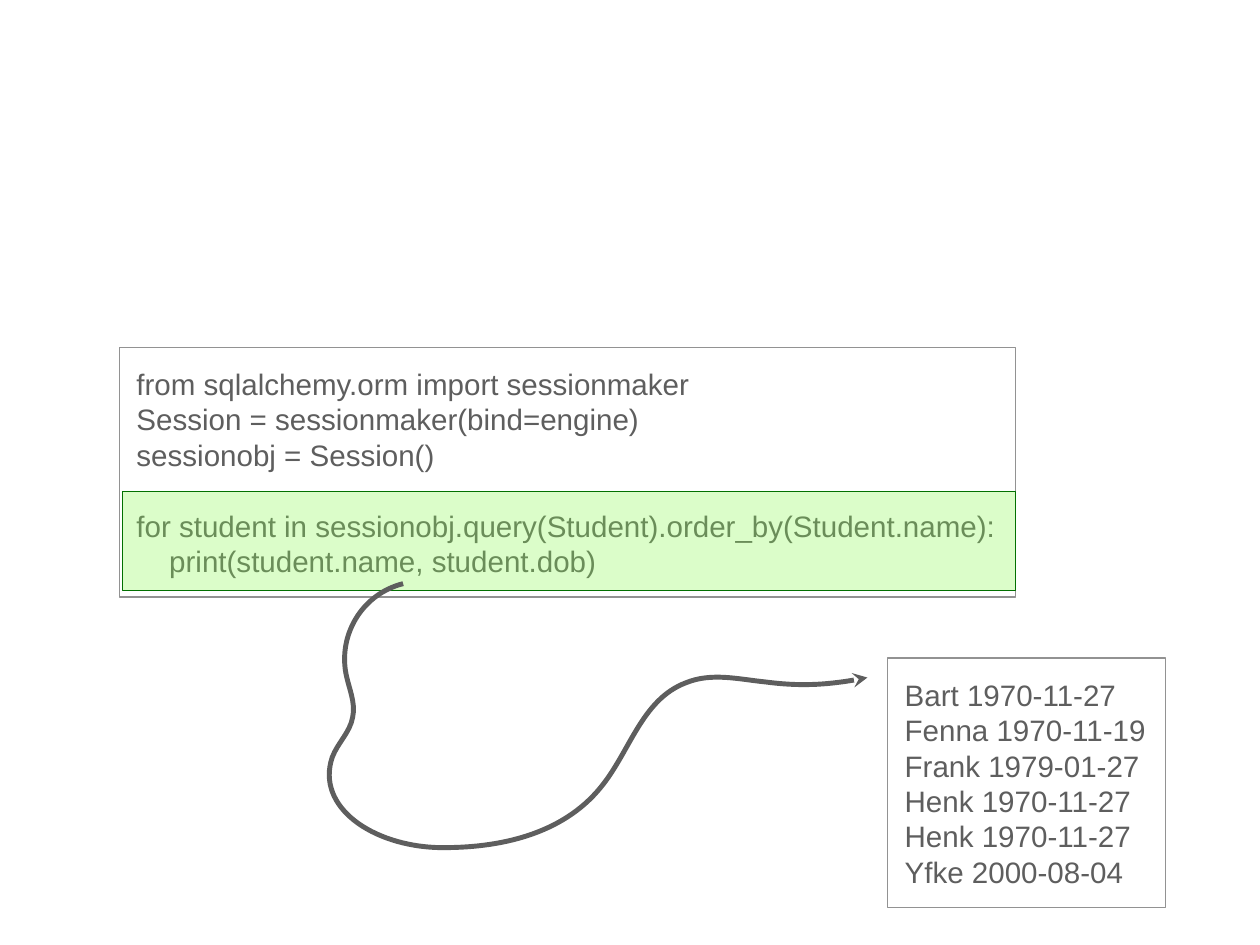
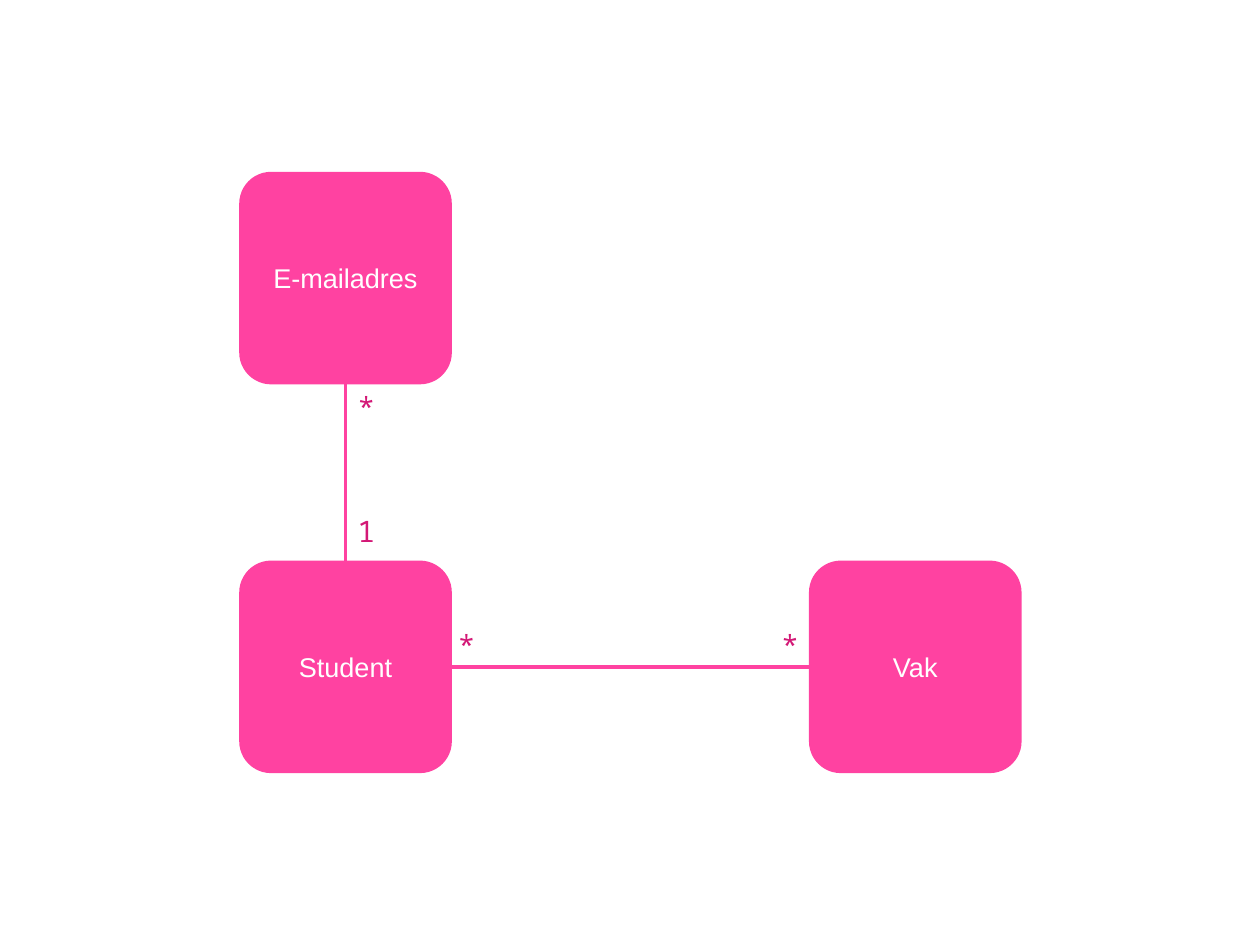
from pptx import Presentation
from pptx.dml.color import RGBColor
from pptx.enum.shapes import MSO_CONNECTOR as CONN, MSO_SHAPE as SHAPE
from pptx.enum.text import MSO_ANCHOR as ANCHOR, PP_ALIGN as ALIGN
from pptx.oxml.ns import qn
from pptx.oxml.xmlchemy import OxmlElement
from pptx.util import Inches, Pt

COLORS = {
    "ink": "5E5E5E", "frame": "929292",
    "highlight": "89FA4E", "highlight_line": "027001",
    "entity": "FF42A1", "label": "D31876", "white": "FFFFFF",
}
SANS, MONO = "Arial", "Noto Sans Mono"
LINE_HEIGHT = Pt(28.8)
SIDE = 2.4  # side of an entity box
TOP, LEFT, BOTTOM, RIGHT = range(4)  # connection sites


def rgb(name):
    return RGBColor.from_string(COLORS[name])


def style_line(line, color, width):
    line.color.rgb = rgb(color)
    line.width = Pt(width)


def add_element(parent, tag, **attrs):
    el = OxmlElement(tag)
    for key, value in attrs.items():
        el.set(key, str(value))
    parent.append(el)
    return el


def add_box(slide, kind, x, y, w, h, fill=None, line=None):
    sp = slide.shapes.add_shape(kind, Inches(x), Inches(y), Inches(w), Inches(h))
    sp.shadow.inherit = False
    if fill:
        sp.fill.solid()
        sp.fill.fore_color.rgb = rgb(fill)
    else:
        sp.fill.background()
    if line:
        style_line(sp.line, line, 1)
    else:
        sp.line.fill.background()
    return sp


def set_text(sp, text, size, color, font=SANS, align=ALIGN.CENTER, inset=0.03, wrap=False):
    tf = sp.text_frame
    tf.text = text
    tf.word_wrap = wrap
    tf.vertical_anchor = ANCHOR.MIDDLE
    tf.margin_left = tf.margin_right = tf.margin_top = tf.margin_bottom = Inches(inset)
    for p in tf.paragraphs:
        p.alignment = align
        for r in p.runs:
            r.font.name, r.font.size, r.font.color.rgb = font, Pt(size), rgb(color)
    return tf


# Code slide
def add_listing(slide, x, y, w, h, lines):
    sp = add_box(slide, SHAPE.RECTANGLE, x, y, w, h, line="frame")
    tf = set_text(sp, "\n".join(lines), 24, "ink", align=ALIGN.LEFT, inset=0.19)
    for p in tf.paragraphs:
        p.line_spacing = LINE_HEIGHT
    return tf


def add_highlight(slide, x, y, w, h):
    sp = add_box(slide, SHAPE.RECTANGLE, x, y, w, h, "highlight", "highlight_line")
    color = sp.fill._xPr.find(qn("a:solidFill"))[0]
    add_element(color, "a:alpha", val=30000)


def add_curved_arrow(slide, start, curves):
    """Each curve is (control, control, end), in inches on the slide."""
    def emu(pt):
        return Inches(pt[0]), Inches(pt[1])

    builder = slide.shapes.build_freeform(*emu(start))
    builder.add_line_segments([emu(curve[-1]) for curve in curves], close=False)
    sp = builder.convert_to_shape()
    sp.shadow.inherit = False
    sp.fill.background()
    style_line(sp.line, "ink", 4)
    add_element(sp.line._get_or_add_ln(), "a:tailEnd", type="stealth")

    # Bend each straight segment with its two control points
    for segment, curve in zip(list(sp._element.iter(qn("a:lnTo"))), curves):
        segment.tag = qn("a:cubicBezTo")
        end = segment[0]
        for control in curve[:2]:
            x, y = emu(control)
            add_element(segment, "a:pt", x=x - sp.left, y=y - sp.top)
        segment.append(end)


def build_query_slide(slide):
    x, y, w, h = 1.35, 3.92, 10.11, 2.82
    code = add_listing(slide, x, y, w, h, [
        "from sqlalchemy.orm import sessionmaker",
        "Session = sessionmaker(bind=engine)",
        "sessionobj = Session()",
        "for student in sessionobj.query(Student).order_by(Student.name):",
        "    print(student.name, student.dob)",
    ])
    code.paragraphs[3].space_before = LINE_HEIGHT
    add_listing(slide, 10.02, 7.43, 3.13, h, [
        "Bart 1970-11-27", "Fenna 1970-11-19", "Frank 1979-01-27",
        "Henk 1970-11-27", "Henk 1970-11-27", "Yfke 2000-08-04",
    ])
    add_highlight(slide, x + 0.03, y + 1.63, w - 0.03, 1.12)
    add_curved_arrow(slide, (4.55, 6.59), [
        ((4.11, 6.7), (3.83, 7.13), (3.9, 7.58)),
        ((3.93, 7.76), (4.02, 7.93), (3.98, 8.1)),
        ((3.95, 8.27), (3.81, 8.39), (3.75, 8.55)),
        ((3.56, 9.11), (4.2, 9.55), (4.95, 9.57)),
        ((5.64, 9.58), (6.35, 9.42), (6.78, 8.89)),
        ((7.11, 8.49), (7.24, 7.9), (7.74, 7.71)),
        ((8.03, 7.59), (8.34, 7.67), (8.64, 7.7)),
        ((9.02, 7.75), (9.41, 7.73), (9.79, 7.65)),
    ])


# Entity diagram slide
def add_entity(slide, x, y, name):
    sp = add_box(slide, SHAPE.ROUNDED_RECTANGLE, x, y, SIDE, SIDE, "entity")
    sp.adjustments[0] = 0.15
    set_text(sp, name, 22, "white", wrap=True)
    return sp


def add_relation(slide, begin, begin_site, end, end_site):
    cx = slide.shapes.add_connector(CONN.STRAIGHT, 0, 0, 0, 0)
    cx.begin_connect(begin, begin_site)
    cx.end_connect(end, end_site)
    style_line(cx.line, "entity", 3)
    add_element(cx._element.spPr, "a:effectLst")


def add_multiplicity(slide, x, y, text):
    sp = slide.shapes.add_textbox(Inches(x), Inches(y), Inches(0.27), Inches(0.45))
    set_text(sp, text, 24, "label", MONO)


def build_entity_slide(slide):
    left, right, top, bottom = 2.7, 9.13, 1.94, 6.33
    student = add_entity(slide, left, bottom, "Student")
    course = add_entity(slide, right, bottom, "Vak")
    email = add_entity(slide, left, top, "E-mailadres")
    add_relation(slide, student, TOP, email, BOTTOM)
    add_relation(slide, student, RIGHT, course, LEFT)

    beside_line = left + SIDE / 2 + 0.1
    above_line = bottom + SIDE / 2 - 0.48
    for x, y, text in [
        (beside_line, bottom - 0.56, "1"),
        (beside_line, top + SIDE + 0.03, "*"),
        (left + SIDE + 0.03, above_line, "*"),
        (right - 0.35, above_line, "*"),
    ]:
        add_multiplicity(slide, x, y, text)


def main():
    prs = Presentation()
    prs.slide_width, prs.slide_height = Inches(14.22), Inches(10.67)
    blank = prs.slide_layouts[6]
    for build in (build_query_slide, build_entity_slide):
        build(prs.slides.add_slide(blank))
    prs.save("out.pptx")


if __name__ == "__main__":
    main()
